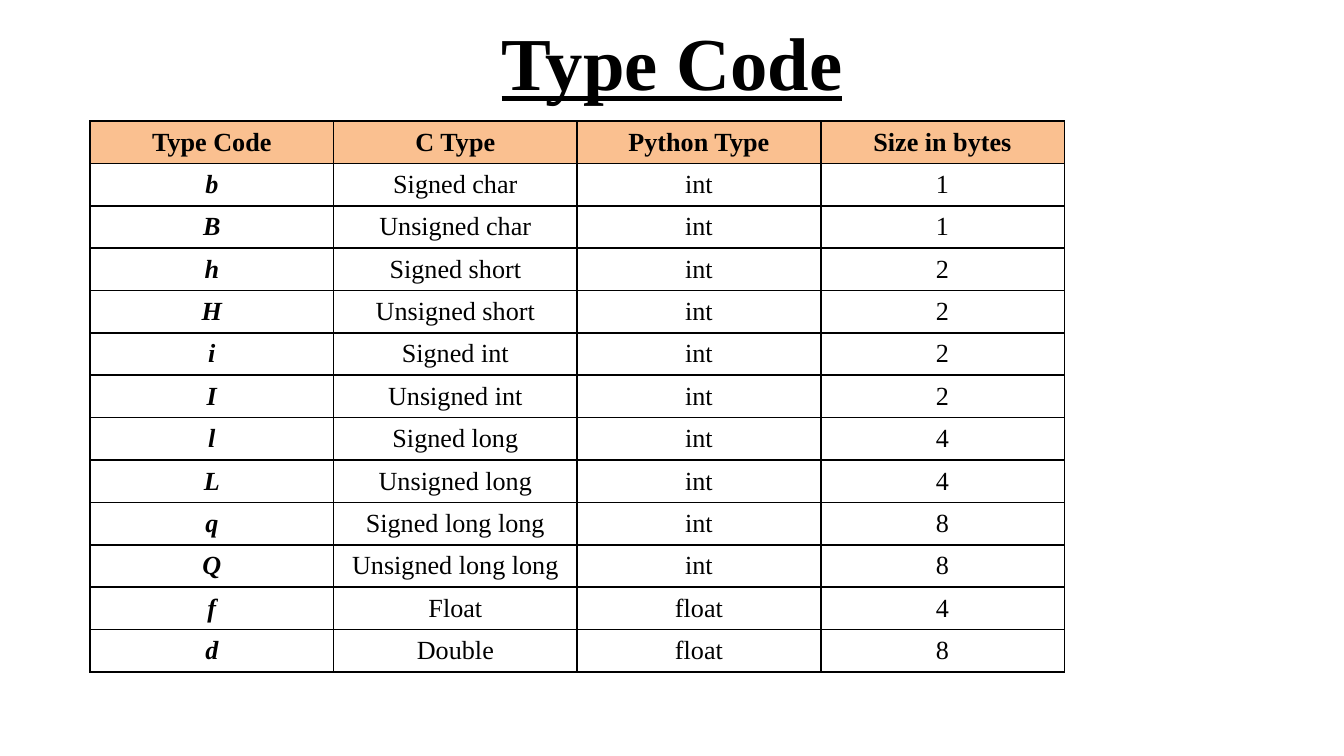
import pptx
import pptx.util
import pptx.dml.color
import pptx.enum.text
import pptx.oxml
import pptx.oxml.ns

Inches = pptx.util.Inches
Pt = pptx.util.Pt
FONT = "Times New Roman"
COLORS = {"ink": "000000", "head": "FAC090", "page": "FFFFFF"}
HEADS = ("Type Code", "C Type", "Python Type", "Size in bytes")
TYPES = (
    ("b", "Signed char", "int", "1"),
    ("B", "Unsigned char", "int", "1"),
    ("h", "Signed short", "int", "2"),
    ("H", "Unsigned short", "int", "2"),
    ("i", "Signed int", "int", "2"),
    ("I", "Unsigned int", "int", "2"),
    ("l", "Signed long", "int", "4"),
    ("L", "Unsigned long", "int", "4"),
    ("q", "Signed long long", "int", "8"),
    ("Q", "Unsigned long long", "int", "8"),
    ("f", "Float", "float", "4"),
    ("d", "Double", "float", "8"),
)


def color(name):
    return pptx.dml.color.RGBColor.from_string(COLORS[name])


def write(frame, text, size, bold=False, italic=False, under=False):
    """Put one centred run into an empty text frame."""
    para = frame.paragraphs[0]
    para.alignment = pptx.enum.text.PP_ALIGN.CENTER
    run = para.add_run()
    run.text = text
    font = run.font
    font.name, font.size = FONT, Pt(size)
    font.bold, font.italic, font.underline = bold, italic, under
    font.color.rgb = color("ink")


def border(cell):
    props = cell._tc.get_or_add_tcPr()
    for side in "LRTB":
        props.append(pptx.oxml.parse_xml(
            f'<a:ln{side} {pptx.oxml.ns.nsdecls("a")} w="{Pt(1)}">'
            f'<a:solidFill><a:srgbClr val="{COLORS["ink"]}"/></a:solidFill>'
            f'</a:ln{side}>'))


def add_title(slide, left, top, width, height):
    box = slide.shapes.add_textbox(
        Inches(left), Inches(top), Inches(width), Inches(height))
    frame = box.text_frame
    frame.word_wrap = True
    frame.vertical_anchor = pptx.enum.text.MSO_ANCHOR.MIDDLE
    write(frame, "Type Code", 40, bold=True, under=True)


def add_types(slide, left, top, width, height):
    rows = (HEADS,) + TYPES
    table = slide.shapes.add_table(
        len(rows), len(HEADS), Inches(left), Inches(top),
        Inches(width), Inches(height)).table
    for row, texts in enumerate(rows):
        head = row == 0
        for col, text in enumerate(texts):
            cell = table.cell(row, col)
            cell.margin_top = cell.margin_bottom = Inches(0.04)
            cell.vertical_anchor = pptx.enum.text.MSO_ANCHOR.MIDDLE
            border(cell)
            cell.fill.solid()
            cell.fill.fore_color.rgb = color("head" if head else "page")
            code = col == 0 and not head
            write(cell.text_frame, text, 14, bold=head or code, italic=code)


def main():
    deck = pptx.Presentation()
    deck.slide_width = Inches(10)
    deck.slide_height = deck.slide_width * 9 // 16
    slide = deck.slides.add_slide(deck.slide_layouts[6])
    add_title(slide, 0.5, -0.02, 9, 0.94)
    add_types(slide, 0.67, 0.9, 7.25, 4.1)
    deck.save("out.pptx")


if __name__ == "__main__":
    main()
